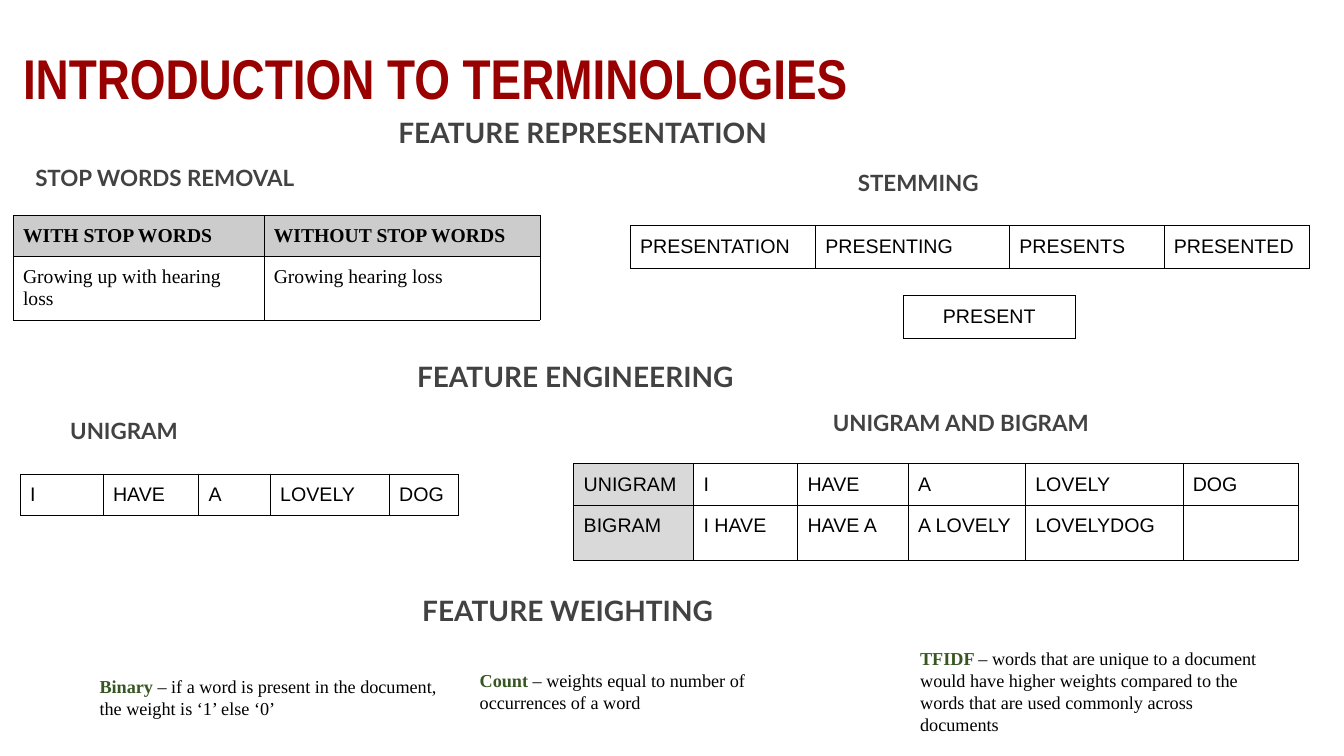
from lxml import etree
from pptx import Presentation
from pptx.dml.color import RGBColor
from pptx.enum.text import MSO_ANCHOR, MSO_AUTO_SIZE, PP_ALIGN
from pptx.oxml.ns import qn
from pptx.util import Cm, Pt

LEFT, CENTER = PP_ALIGN.LEFT, PP_ALIGN.CENTER
TOP, MIDDLE = MSO_ANCHOR.TOP, MSO_ANCHOR.MIDDLE
NO_AUTOFIT = MSO_AUTO_SIZE.NONE

SANS, SERIF, HEADING, NARROW = "Arial", "Times New Roman", "Lato", "Arial Narrow"
BLACK, GREY, RED, GREEN = "000000", "424242", "990000", "385623"
HEADER_FILL, LABEL_FILL = "CCCCCC", "D9D9D9"
PADDING, CELL_BOTTOM = 0.25, 0.18


def colour(value):
    return RGBColor.from_string(value)


def add_run(paragraph, text, font, size, hex_colour, bold=False):
    run = paragraph.add_run()
    run.text = text
    run.font.name = font
    run.font.size = Pt(size)
    run.font.bold = bold
    run.font.color.rgb = colour(hex_colour)


def set_margins(holder, across, down):
    holder.margin_left = holder.margin_right = Cm(across)
    holder.margin_top = holder.margin_bottom = Cm(down)


def place(shape, left, top, width, height):
    shape.left, shape.top = Cm(left), Cm(top)
    shape.width, shape.height = Cm(width), Cm(height)


def add_title(slide, text):
    title = slide.shapes.title
    place(title, 0.33, 0.2, 29.21, 3.68)
    frame = title.text_frame
    frame.auto_size = NO_AUTOFIT
    frame.word_wrap = True
    frame.vertical_anchor = MIDDLE
    set_margins(frame, PADDING, 0.13)
    paragraph = frame.paragraphs[0]
    paragraph.alignment = LEFT
    paragraph.line_spacing = 0.9
    add_run(paragraph, text, NARROW, 40, RED, True)


def add_heading(slide, text, size, box, anchor=TOP, margins=(0, 0)):
    """Add a heading inside an unpainted outline."""
    left, top, width, height = map(Cm, box)
    right, bottom = left + width, top + height
    outline = slide.shapes.build_freeform(left, top)
    outline.add_line_segments([(right, top), (right, bottom), (left, bottom)])
    shape = outline.convert_to_shape()
    shape.shadow.inherit = False
    shape.fill.background()
    shape.line.fill.background()
    frame = shape.text_frame
    frame.word_wrap = True
    frame.vertical_anchor = anchor
    set_margins(frame, *margins)
    paragraph = frame.paragraphs[0]
    paragraph.alignment = LEFT
    add_run(paragraph, text, HEADING, size, GREY, True)


def add_weighting(slide, term, meaning, box):
    frame = slide.shapes.add_textbox(*map(Cm, box)).text_frame
    frame.word_wrap = True
    set_margins(frame, PADDING, PADDING)
    paragraph = frame.paragraphs[0]
    add_run(paragraph, term, SERIF, 13, GREEN, True)
    add_run(paragraph, meaning, SERIF, 13, BLACK)


def add_borders(cell):
    properties = cell._tc.get_or_add_tcPr()
    for side in ("lnL", "lnR", "lnT", "lnB"):
        line = etree.SubElement(properties, qn(f"a:{side}"), w=str(Pt(0.5)))
        fill = etree.SubElement(line, qn("a:solidFill"))
        etree.SubElement(fill, qn("a:srgbClr"), val=BLACK)


def add_grid(slide, left, top, widths, heights, rows, font=SANS,
             align=LEFT, header_fill=None, label_fill=None):
    """Add a bordered table; header_fill is for row 0, label_fill for column 0."""
    frame = slide.shapes.add_table(len(rows), len(widths), Cm(left), Cm(top),
                                   Cm(sum(widths)), Cm(sum(heights)))
    table = frame.table
    table.first_row = table.horz_banding = False
    for column, width in zip(table.columns, widths):
        column.width = Cm(width)
    for r, (row, height) in enumerate(zip(rows, heights)):
        table.rows[r].height = Cm(height)
        for c, text in enumerate(row):
            cell = table.cell(r, c)
            set_margins(cell, PADDING, PADDING)
            cell.margin_bottom = Cm(CELL_BOTTOM)
            add_borders(cell)
            is_header = r == 0 and header_fill is not None
            shade = header_fill if is_header else label_fill if c == 0 else None
            if shade:
                cell.fill.solid()
                cell.fill.fore_color.rgb = colour(shade)
            else:
                cell.fill.background()
            paragraph = cell.text_frame.paragraphs[0]
            paragraph.alignment = align
            if text:
                add_run(paragraph, text, font, 14, BLACK, is_header)


def main():
    deck = Presentation()
    deck.slide_width, deck.slide_height = Cm(33.87), Cm(19.05)
    slide = deck.slides.add_slide(deck.slide_layouts[5])
    add_title(slide, "INTRODUCTION TO TERMINOLOGIES")

    # Feature representation: stop words and stemming
    add_heading(slide, "FEATURE REPRESENTATION", 20, (10.04, 2.9, 14.22, 0.66))
    add_heading(slide, "STOP WORDS REMOVAL", 16, (0.89, 4.14, 12.34, 1.04))
    add_grid(slide, 0.33, 5.42, (6.32, 6.96), (1.03, 1.61),
             [("WITH STOP WORDS", "WITHOUT STOP WORDS"),
              ("Growing up with hearing loss", "Growing hearing loss")],
             font=SERIF, header_fill=HEADER_FILL)
    add_heading(slide, "STEMMING", 16, (21.62, 4.27, 10.39, 1.04))
    add_grid(slide, 15.88, 5.69, (4.67, 4.89, 3.89, 3.66), (1.07,),
             [("PRESENTATION", "PRESENTING", "PRESENTS", "PRESENTED")])
    add_grid(slide, 22.76, 7.45, (4.34,), (1.08,), [("PRESENT",)], align=CENTER)

    # Feature engineering: n-grams of one sentence
    words = ("I", "HAVE", "A", "LOVELY", "DOG")
    add_heading(slide, "FEATURE ENGINEERING", 20, (10.51, 9.07, 13.28, 1.04))
    add_heading(slide, "UNIGRAM", 16, (1.77, 10.5, 10.39, 1.04))
    add_grid(slide, 0.51, 11.94, (2.09, 2.41, 1.8, 3.0, 1.75), (1.05,), [words])
    add_heading(slide, "UNIGRAM AND BIGRAM", 16, (20.99, 10.3, 10.39, 1.04))
    add_grid(slide, 14.46, 11.68, (3.02, 2.62, 2.79, 2.95, 3.97, 2.91), (1.05, 1.39),
             [("UNIGRAM", *words),
              ("BIGRAM", "I HAVE", "HAVE A", "A LOVELY", "LOVELYDOG", "")],
             label_fill=LABEL_FILL)

    # Feature weighting: three schemes
    add_heading(slide, "FEATURE WEIGHTING", 20, (10.51, 14.86, 13.08, 1.04),
                anchor=MIDDLE, margins=(0.13, 0.08))
    add_weighting(slide, "Binary ",
                  "– if a word is present in the document, the weight is ‘1’ else ‘0’",
                  (2.26, 16.76, 9.02, 1.5))
    add_weighting(slide, "Count",
                  " – weights equal to number of occurrences of a word",
                  (11.84, 16.61, 8.23, 1.78))
    add_weighting(slide, "TFIDF ",
                  "– words that are unique to a document would have higher weights "
                  "compared to the words that are used commonly across documents",
                  (22.94, 16.06, 9.42, 2.77))

    deck.save("out.pptx")


if __name__ == "__main__":
    main()
